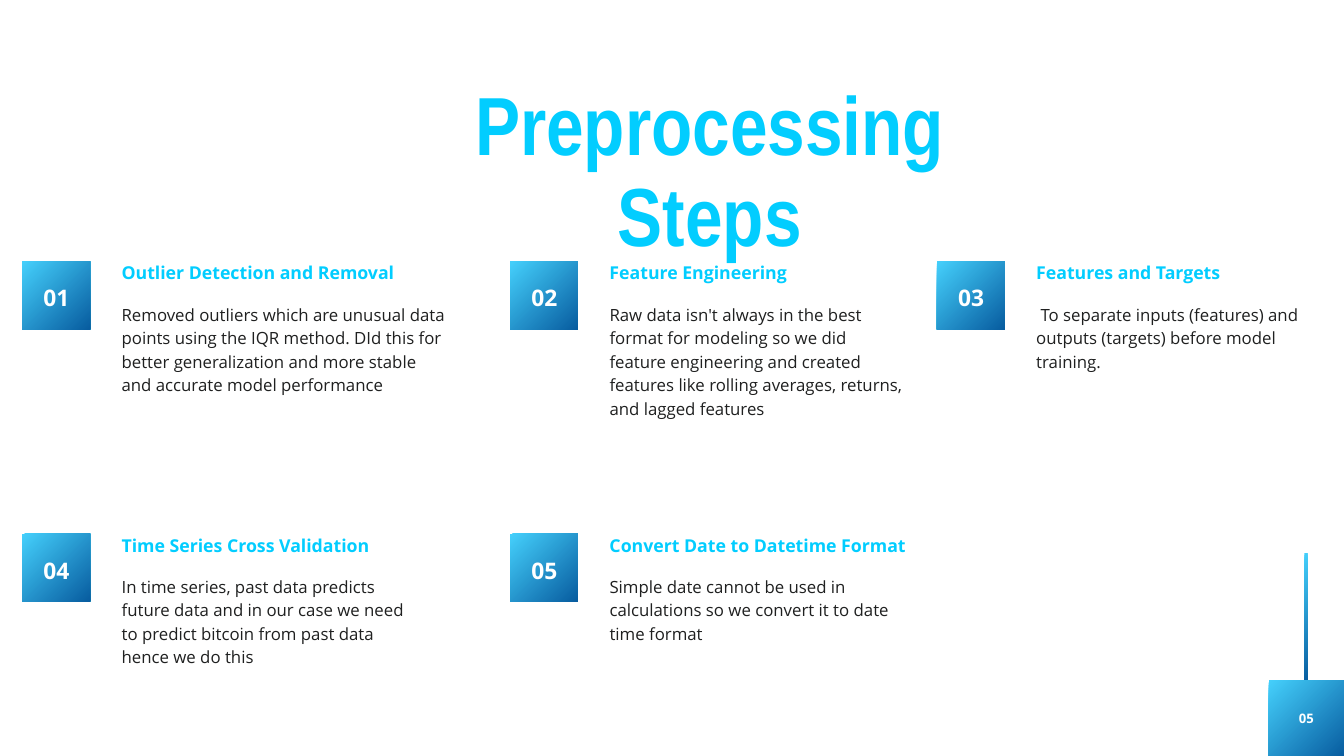
"""Build the Preprocessing Steps slide with five numbered steps."""
from pptx import Presentation
from pptx.dml.color import RGBColor
from pptx.enum import shapes, text
from pptx.util import Inches, Pt

CYAN, INK, WHITE = "02CDFF", "1F2020", "FFFFFF"
LEFT, CENTER = text.PP_ALIGN.LEFT, text.PP_ALIGN.CENTER


def gradient_box(s, x, y, w, h):
    sp = s.shapes.add_shape(shapes.MSO_SHAPE.RECTANGLE, Inches(x), Inches(y), Inches(w), Inches(h))
    sp.shadow.inherit = False
    sp.line.fill.background()
    sp.fill.gradient()
    sp.fill.gradient_angle = 315
    for stop, color, position in zip(sp.fill.gradient_stops, ("45D0FC", "085DA0"), (0, 1)):
        stop.color.rgb = RGBColor.from_string(color)
        stop.position = position


def put_text(sp, box, words, size, spacing, color, bold=True, align=LEFT, font="Open Sans"):
    sp.left, sp.top, sp.width, sp.height = [Inches(v) for v in box]
    tf = sp.text_frame
    tf.text = words
    tf.word_wrap = True
    tf.auto_size = text.MSO_AUTO_SIZE.NONE
    tf.vertical_anchor = text.MSO_ANCHOR.TOP
    tf.margin_left = tf.margin_top = tf.margin_right = tf.margin_bottom = 0
    p = tf.paragraphs[0]
    p.alignment = align
    p.line_spacing = Pt(spacing)
    p.space_before = Pt(0)
    r = p.runs[0]
    r.font.size = Pt(size)
    r.font.name = font
    r.font.bold = bold
    r.font.color.rgb = RGBColor.from_string(color)


prs = Presentation()
prs.slide_width, prs.slide_height = Inches(20), Inches(11.25)
s = prs.slides.add_slide(prs.slide_layouts[5])

gradient_box(s, 19.41, 8.23, 0.05, 1.9)
gradient_box(s, 18.88, 10.12, 1.12, 1.13)
page = s.shapes.add_textbox(0, 0, 0, 0)
put_text(page, (19.14, 10.54, 0.6, 0.26), "05", 14, 19.6, WHITE, align=CENTER)
put_text(s.shapes.title, (5.9, 1.21, 9.33, 1.38), "Preprocessing Steps", 88.3, 97.1, CYAN,
         align=CENTER, font="Arial Narrow")

columns = [0.33, 7.59, 13.94]
rows = [3.89, 7.94]
steps = [
    ("Outlier Detection and Removal", 4.86,
     "Removed outliers which are unusual data points using the IQR method. DId this for "
     "better generalization and more stable and accurate model performance"),
    ("Feature Engineering", 4.39,
     "Raw data isn't always in the best format for modeling so we did feature engineering "
     "and created features like rolling averages, returns, and lagged features"),
    ("Features and Targets", 4.39,
     " To separate inputs (features) and outputs (targets) before model training."),
    ("Time Series Cross Validation", 4.39,
     "In time series, past data predicts future data and in our case we need to predict "
     "bitcoin from past data hence we do this"),
    ("Convert Date to Datetime Format", 4.39,
     "Simple date cannot be used in calculations so we convert it to date time format"),
]
for i, (heading, width, body) in enumerate(steps):
    x, y = columns[i % 3], rows[i // 3]
    gradient_box(s, x, y, 1.01, 1.01)
    parts = [
        ((x + 0.14, y + 0.27, 0.74, 0.44), f"{i + 1:02d}", 24.4, 34.2, WHITE, True, CENTER),
        ((x + 1.48, y - 0.04, 4.87, 0.36), heading, 19, 26.6, CYAN, True, LEFT),
        ((x + 1.48, y + 0.59, width, 1.36), body, 18, 25.2, INK, False, LEFT),
    ]
    for part in parts:
        put_text(s.shapes.add_textbox(0, 0, 0, 0), *part)

prs.save("out.pptx")
